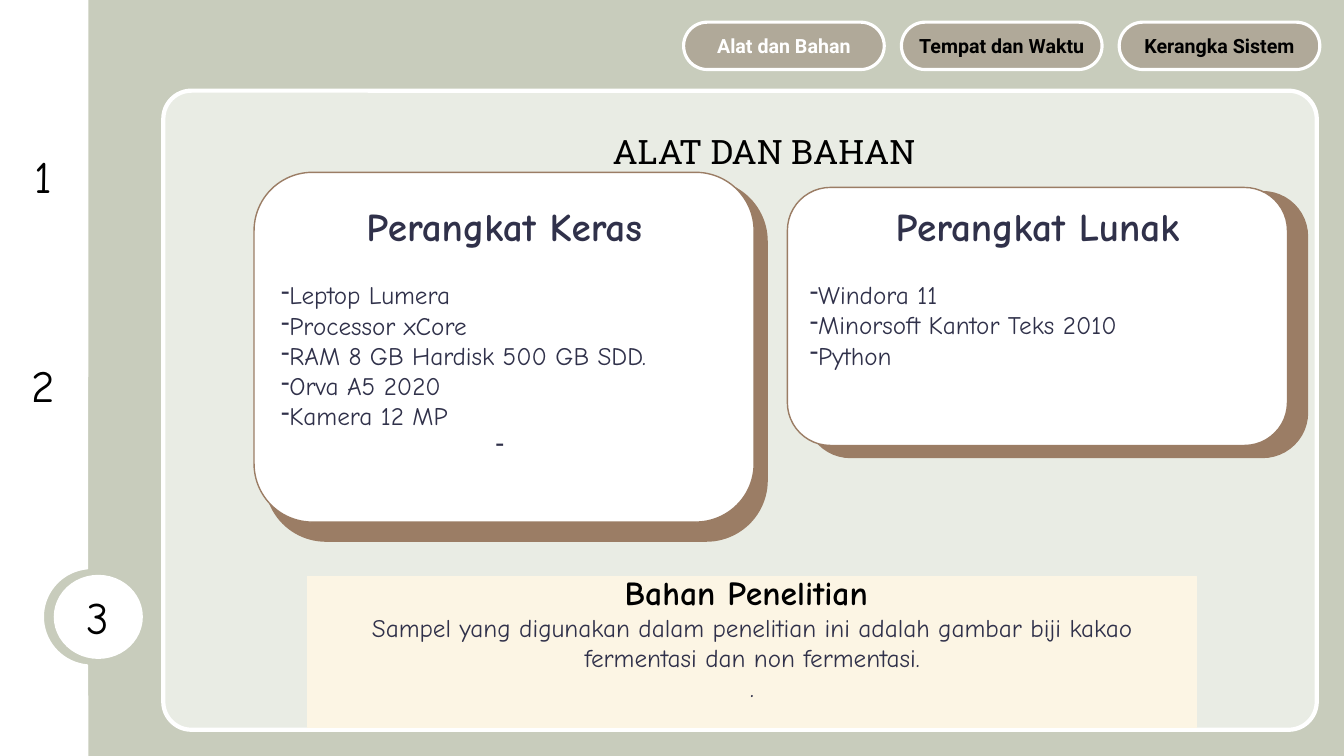
from math import cos, radians, sin

from lxml.etree import SubElement
from pptx import Presentation
from pptx.dml.color import RGBColor
from pptx.enum.shapes import MSO_SHAPE as Preset
from pptx.enum.text import MSO_ANCHOR as Anchor, PP_ALIGN as Align
from pptx.oxml.ns import qn
from pptx.util import Inches, Pt

SAGE, PALE, TAUPE, BROWN = "C8CCBC", "E9ECE4", "B0A999", "9B7D65"
CREAM, WHITE, BLACK, NAVY = "FCF5E4", "FFFFFF", "000000", "30314A"
HAND, SANS, SLAB = "Comic Neue", "Roboto", "Roboto Slab"


def paint(target, color):
    if hasattr(target, "solid"):
        target.solid()
        target.fore_color.rgb = RGBColor.from_string(color)
    else:
        target.rgb = RGBColor.from_string(color)


def style_shape(shape, fill, line, width):
    shape.shadow.inherit = False
    paint(shape.fill, fill)
    paint(shape.line.fill, line)
    shape.line.width = Pt(width)


def add_panel(slide, preset, box, fill, line, width, corner=None):
    shape = slide.shapes.add_shape(preset, *map(Inches, box))
    style_shape(shape, fill, line, width)
    if corner is not None:
        shape.adjustments[0] = corner
    return shape


def prepare_text(shape, anchor=Anchor.MIDDLE, margins=(0.1, 0.05, 0.1, 0.05)):
    frame = shape.text_frame
    frame.word_wrap = True
    frame.vertical_anchor = anchor
    (frame.margin_left, frame.margin_top,
     frame.margin_right, frame.margin_bottom) = map(Inches, margins)
    return frame


def write(frame, text, size, font, color, bold=False, align=Align.CENTER, bullet=None):
    paragraph = frame.paragraphs[0]
    if paragraph.runs:
        paragraph = frame.add_paragraph()
    paragraph.add_run().text = text
    paragraph.alignment = align
    paragraph.font.size = Pt(size)
    paragraph.font.name = font
    paragraph.font.bold = bold
    paint(paragraph.font.color, color)
    if bullet:
        properties = paragraph._p.get_or_add_pPr()
        properties.set("marL", "0")
        properties.set("indent", "0")
        mark = SubElement(properties, qn("a:buChar"))
        mark.set("char", bullet)
        properties.insert(0, mark)
    return paragraph


def add_label(slide, box, text, size, font):
    label = slide.shapes.add_textbox(*map(Inches, box))
    write(prepare_text(label, Anchor.TOP), text, size, font, BLACK)


def add_tabs(slide, left, top, names, active):
    width, pitch = 1.99, 2.16
    for index, name in enumerate(names):
        box = (left + index * pitch, top, width, 0.47)
        tab = add_panel(slide, Preset.ROUNDED_RECTANGLE, box, TAUPE, WHITE, 2.25, 0.5)
        color = WHITE if name == active else BLACK
        write(prepare_text(tab, margins=(0, 0, 0, 0)), name, 14, SANS, color, True)


def add_card(slide, box, backing, title, items, text_top, trailing_dash=False):
    add_panel(slide, Preset.ROUNDED_RECTANGLE, backing, BROWN, BROWN, 2.25)
    card = add_panel(slide, Preset.ROUNDED_RECTANGLE, box, WHITE, BROWN, 1)
    left, top, width, height = box
    corner_inset = 0.05 * height
    margin_top = round(text_top - top - corner_inset, 2)
    frame = prepare_text(card, Anchor.TOP, (0.1, margin_top, 0.1, 0))
    heading = write(frame, title, 28, HAND, NAVY, True)
    heading.space_after = Pt(21.6)
    for item in items:
        write(frame, item, 18, HAND, NAVY, align=Align.LEFT, bullet="-")
    if trailing_dash:
        write(frame, " ", 18, HAND, NAVY, bullet="-")


def add_material(slide, box):
    panel = add_panel(slide, Preset.RECTANGLE, box, CREAM, CREAM, 1)
    frame = prepare_text(panel, margins=(0.1, 0, 0.1, 0.3))
    write(frame, "Bahan Penelitian ", 24, HAND, BLACK, True)
    for text in ("Sampel yang digunakan dalam penelitian ini adalah gambar "
                 "biji kakao fermentasi dan non fermentasi.", "."):
        write(frame, text, 18, HAND, NAVY)


def add_sidebar(slide, box):
    left, top, width, height = box
    center_x, center_y, radius = left + 0.91, top + 6.12, 0.48
    notch = [(center_x + radius * cos(radians(angle)),
              center_y - radius * sin(radians(angle)))
             for angle in range(95, 266, 5)]
    outline = [(left + width, top), *notch, (left + width, top + height),
               (left, top + height)]
    builder = slide.shapes.build_freeform(Inches(left), Inches(top))
    builder.add_line_segments([(Inches(x), Inches(y)) for x, y in outline])
    style_shape(builder.convert_to_shape(), WHITE, WHITE, 1)

    for number, offset in (("1", 1.43), ("2", 3.5)):
        add_label(slide, (left + 0.1, top + offset, 0.66, 0.64), number, 32, HAND)
    current = add_panel(slide, Preset.OVAL, (left + 0.54, top + 5.71, 0.87, 0.82),
                        WHITE, WHITE, 1)
    write(prepare_text(current), "3", 32, HAND, BLACK)


def add_content(slide, box):
    left, top, width, height = box
    add_panel(slide, Preset.ROUNDED_RECTANGLE, box, PALE, WHITE, 3, 0.044)
    add_label(slide, (left + 3.59, top + 0.35, 4.82, 0.5), "ALAT DAN BAHAN ", 24, SLAB)
    text_top = top + 1.11
    add_card(slide, (left + 0.9, top + 0.81, 4.96, 3.47),
             (left + 1.02, top + 0.9, 4.96, 3.56), "Perangkat Keras",
             ["Leptop Lumera", "Processor xCore", "RAM 8 GB Hardisk 500 GB SDD.",
              "Orva A5 2020", "Kamera 12 MP"], text_top, True)
    add_card(slide, (left + 6.19, top + 0.96, 4.96, 2.56),
             (left + 6.38, top + 1.01, 4.96, 2.62), "Perangkat Lunak",
             ["Windora 11", "Minorsoft Kantor Teks 2010", "Python"], text_top)
    add_material(slide, (left + 1.43, top + 4.82, 8.82, 1.5))


presentation = Presentation()
presentation.slide_width = Inches(13.33)
presentation.slide_height = Inches(7.5)
slide = presentation.slides.add_slide(presentation.slide_layouts[6])
paint(slide.background.fill, SAGE)
add_content(slide, (1.62, 0.9, 11.44, 6.34))
add_tabs(slide, 6.78, 0.22, ["Alat dan Bahan", "Tempat dan Waktu", "Kerangka Sistem"],
         "Alat dan Bahan")
add_sidebar(slide, (0, 0, 0.87, 7.5))
presentation.save("out.pptx")
